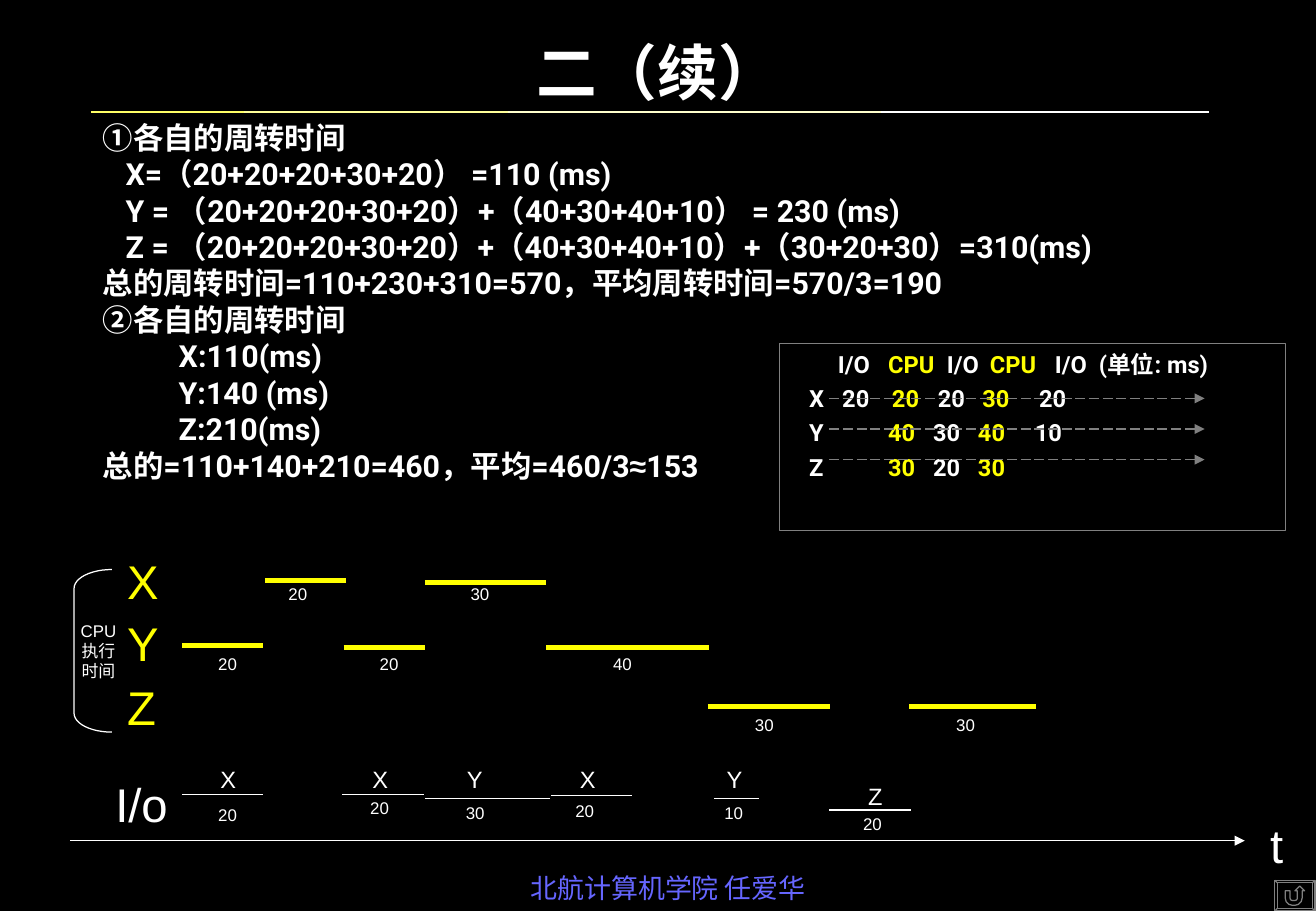
"""Build the slide on turnaround times with its CPU and I/O time chart."""
from lxml.etree import SubElement
from pptx import Presentation
from pptx.dml.color import RGBColor
from pptx.enum.dml import MSO_LINE
from pptx.enum.shapes import MSO_CONNECTOR, MSO_SHAPE
from pptx.enum.text import MSO_ANCHOR, MSO_AUTO_SIZE, PP_ALIGN
from pptx.oxml.ns import qn
from pptx.util import Cm, Pt

WHITE, YELLOW, GREY = "FFFFFF", "FFFF00", "808080"
CJK = "Noto Sans CJK JP"

TITLE_RULE = [(1.9, 5.11, "FFFF66"), (5.11, 10.62, "FFFF99"),
              (10.62, 18.42, "FFFFCC"), (18.42, 25.3, WHITE)]

ANSWER = [
    (0, "①各自的周转时间"),
    (0.48, "X=（20+20+20+30+20） =110 (ms)"),
    (0.48, "Y = （20+20+20+30+20）+（40+30+40+10） = 230 (ms)"),
    (0.48, "Z = （20+20+20+30+20）+（40+30+40+10）+（30+20+30）=310(ms)"),
    (0, "总的周转时间=110+230+310=570，平均周转时间=570/3=190"),
    (0, "②各自的周转时间"),
    (1.59, "X:110(ms)"),
    (1.59, "Y:140 (ms)"),
    (1.59, "Z:210(ms)"),
    (0, "总的=110+140+210=460，平均=460/3≈153"),
]

SCHEDULE = [
    ([0.97, 2.02, 3.25, 4.15, 5.51],
     ["I/O", "CPU", "I/O", "CPU", "I/O  (单位: ms)"], (1, 3)),
    ([0.37, 1.06, 2.1, 3.06, 3.99, 5.18],
     ["X", "20", "20", "20", "30", "20"], (2, 4)),
    ([0.37, 2.02, 2.96, 3.9, 5.09], ["Y", "40", "30", "40", "10"], (1, 3)),
    ([0.37, 2.02, 2.96, 3.9], ["Z", "30", "20", "30"], (1, 3)),
]

# Each burst: start, end, height, value, value left, value top
CPU_BURSTS = [
    (5.54, 7.24, 12.14, "20", 5.28, 12.07),
    (8.89, 11.43, 12.19, "30", 9.09, 12.07),
    (3.81, 5.51, 13.49, "20", 3.81, 13.54),
    (7.19, 8.89, 13.54, "20", 7.19, 13.54),
    (11.43, 14.83, 13.54, "40", 12.07, 13.54),
    (14.81, 17.37, 14.78, "30", 15.04, 14.81),
    (19.02, 21.67, 14.78, "30", 19.25, 14.81),
]
IO_BURSTS = [
    (3.81, 5.51, 16.61, "20", 3.81, 16.71),
    (7.16, 8.86, 16.61, "20", 6.99, 16.56),
    (8.89, 11.51, 16.69, "30", 8.99, 16.66),
    (11.53, 13.23, 16.64, "20", 11.28, 16.61),
    (14.94, 15.88, 16.69, "10", 14.4, 16.66),
    (17.35, 19.05, 16.94, "20", 17.3, 16.89),
]
IO_NAMES = [("X", 4.24, 15.88), ("X", 7.42, 15.88), ("Y", 9.4, 15.88),
            ("X", 11.76, 15.88), ("Y", 14.83, 15.88), ("Z", 17.78, 16.23)]
ROW_NAMES = [("X", 2.41, 11.43, 0.94, YELLOW), ("Y", 2.41, 12.73, 0.94, YELLOW),
             ("Z", 2.41, 14.05, 0.94, YELLOW), ("I/o", 2.11, 16.08, 1.7, WHITE),
             ("t", 26.24, 16.94, 0.94, WHITE)]


def colour(code):
    """Turn a hex string into a colour."""
    return RGBColor.from_string(code)


def add_span(para, text, size, code=WHITE, font="Arial", bold=False):
    """Add one formatted run to a paragraph."""
    span = para.add_run()
    span.text = text
    span.font.size = Pt(size)
    span.font.name = font
    span.font.bold = bold
    span.font.color.rgb = colour(code)
    SubElement(span.font._element, qn("a:ea"), typeface=font)


def next_para(frame, index, align=PP_ALIGN.LEFT):
    """Return the first paragraph of a frame, or a new one after it."""
    para = frame.paragraphs[0] if index == 0 else frame.add_paragraph()
    para.alignment = align
    return para


def add_box(page, left, top, width, height):
    """Add an empty wrapping text box and return its frame."""
    box = page.shapes.add_textbox(Cm(left), Cm(top), Cm(width), Cm(height))
    box.text_frame.word_wrap = True
    return box.text_frame


def add_label(page, text, left, top, width, height, size, code=WHITE, font="Arial"):
    """Add a centred one-line label."""
    frame = add_box(page, left, top, width, height)
    add_span(next_para(frame, 0, PP_ALIGN.CENTER), text, size, code, font)


def add_line(page, start, end, height, code=WHITE, width=0.75, dash=None, arrow=False):
    """Add a horizontal line, dashed or with an arrowhead if asked."""
    line = page.shapes.add_connector(
        MSO_CONNECTOR.STRAIGHT, Cm(start), Cm(height), Cm(end), Cm(height))
    line.line.color.rgb = colour(code)
    line.line.width = Pt(width)
    if dash:
        line.line.dash_style = dash
    properties = line._element.spPr
    if arrow:
        SubElement(properties.find(qn("a:ln")), qn("a:tailEnd"), type="triangle")
    SubElement(properties, qn("a:effectLst"))


def add_outline(page, kind, left, top, width, height, code):
    """Add an unfilled preset shape with a thin outline."""
    shape = page.shapes.add_shape(kind, Cm(left), Cm(top), Cm(width), Cm(height))
    shape.shadow.inherit = False
    shape.fill.background()
    shape.line.color.rgb = colour(code)
    shape.line.width = Pt(0.75)
    return shape


def add_title(page):
    """Place and fill the title and draw the rule below it."""
    title = page.shapes.title
    title.left, title.top, title.width, title.height = Cm(2.06), Cm(0.64), Cm(23.39), Cm(1.7)
    frame = title.text_frame
    frame.auto_size = MSO_AUTO_SIZE.NONE
    frame.vertical_anchor = MSO_ANCHOR.MIDDLE
    add_span(next_para(frame, 0, PP_ALIGN.CENTER), "二（续）", 36, font=CJK, bold=True)
    for start, end, code in TITLE_RULE:
        add_line(page, start, end, 2.34, code)


def add_answer(page):
    """Write the worked answer, with the approximation sign in Arial."""
    frame = add_box(page, 1.9, 2.36, 23.29, 8.64)
    for index, (indent, text) in enumerate(ANSWER):
        para = next_para(frame, index)
        para._p.get_or_add_pPr().set("marL", str(Cm(indent)))
        before, sign, after = text.partition("≈")
        for part, font in ((before, "Roboto"), (sign, "Arial"), (after, "Roboto")):
            if part:
                add_span(para, part, 18, font=font, bold=True)


def add_schedule(page):
    """Add the framed schedule with tabbed columns and dashed arrows."""
    box = add_outline(page, MSO_SHAPE.RECTANGLE, 16.31, 7.19, 10.59, 3.91, GREY)
    frame = box.text_frame
    frame.word_wrap = True
    frame.vertical_anchor = MSO_ANCHOR.TOP
    for index, (stops, cells, cpu_columns) in enumerate(SCHEDULE):
        para = next_para(frame, index)
        if index:
            para.space_before = Pt(3.5)
        tabs = SubElement(para._p.get_or_add_pPr(), qn("a:tabLst"))
        for stop in stops:
            SubElement(tabs, qn("a:tab"), pos=str(Cm(stop)), algn="l")
        for column, cell in enumerate(cells):
            code = YELLOW if column in cpu_columns else WHITE
            add_span(para, "\t" + cell, 14, code, "Roboto", True)
    for row in range(3):
        add_line(page, 17.35, 25.2, 8.33 + 0.64 * row, GREY,
                 dash=MSO_LINE.LONG_DASH, arrow=True)


def add_time_chart(page):
    """Draw the CPU and I/O bursts over the time axis."""
    add_line(page, 1.47, 26.04, 17.58, arrow=True)
    for name, left, top, width, code in ROW_NAMES:
        add_label(page, name, left, top, width, 1.45, 28, code)
    for bursts, code, weight in ((CPU_BURSTS, YELLOW, 3), (IO_BURSTS, WHITE, 0.75)):
        for start, end, height, value, left, top in bursts:
            add_line(page, start, end, height, code, weight)
            add_label(page, value, left, top, 1.9, 0.69, 10)
    for name, left, top in IO_NAMES:
        add_label(page, name, left, top, 1.07, 0.86, 14)
    bracket = add_outline(page, MSO_SHAPE.LEFT_BRACKET, 1.55, 11.91, 0.79, 3.4, WHITE)
    bracket.adjustments[0] = 0.5
    frame = bracket.text_frame
    frame.word_wrap = False
    frame.vertical_anchor = MSO_ANCHOR.MIDDLE
    for index, text in enumerate(("CPU", "执行", "时间")):
        add_span(next_para(frame, index, PP_ALIGN.CENTER), text, 10)


def add_footer(page):
    """Add the footer line and the return button."""
    add_label(page, "北航计算机学院 任爱华", 8.05, 18.11, 11.86, 0.94, 16, "6666FF", CJK)
    frame = add_outline(page, MSO_SHAPE.BEVEL, 26.67, 18.41, 0.84, 0.64, GREY)
    frame.adjustments[0] = 0.08
    add_outline(page, MSO_SHAPE.ACTION_BUTTON_RETURN, 26.72, 18.46, 0.74, 0.54, GREY)


def main():
    """Build and save the deck."""
    deck = Presentation()
    deck.slide_width, deck.slide_height = Cm(27.53), Cm(19.05)
    page = deck.slides.add_slide(deck.slide_layouts[5])
    page.background.fill.solid()
    page.background.fill.fore_color.rgb = colour("000000")
    add_title(page)
    add_answer(page)
    add_schedule(page)
    add_time_chart(page)
    add_footer(page)
    deck.save("out.pptx")


if __name__ == "__main__":
    main()
